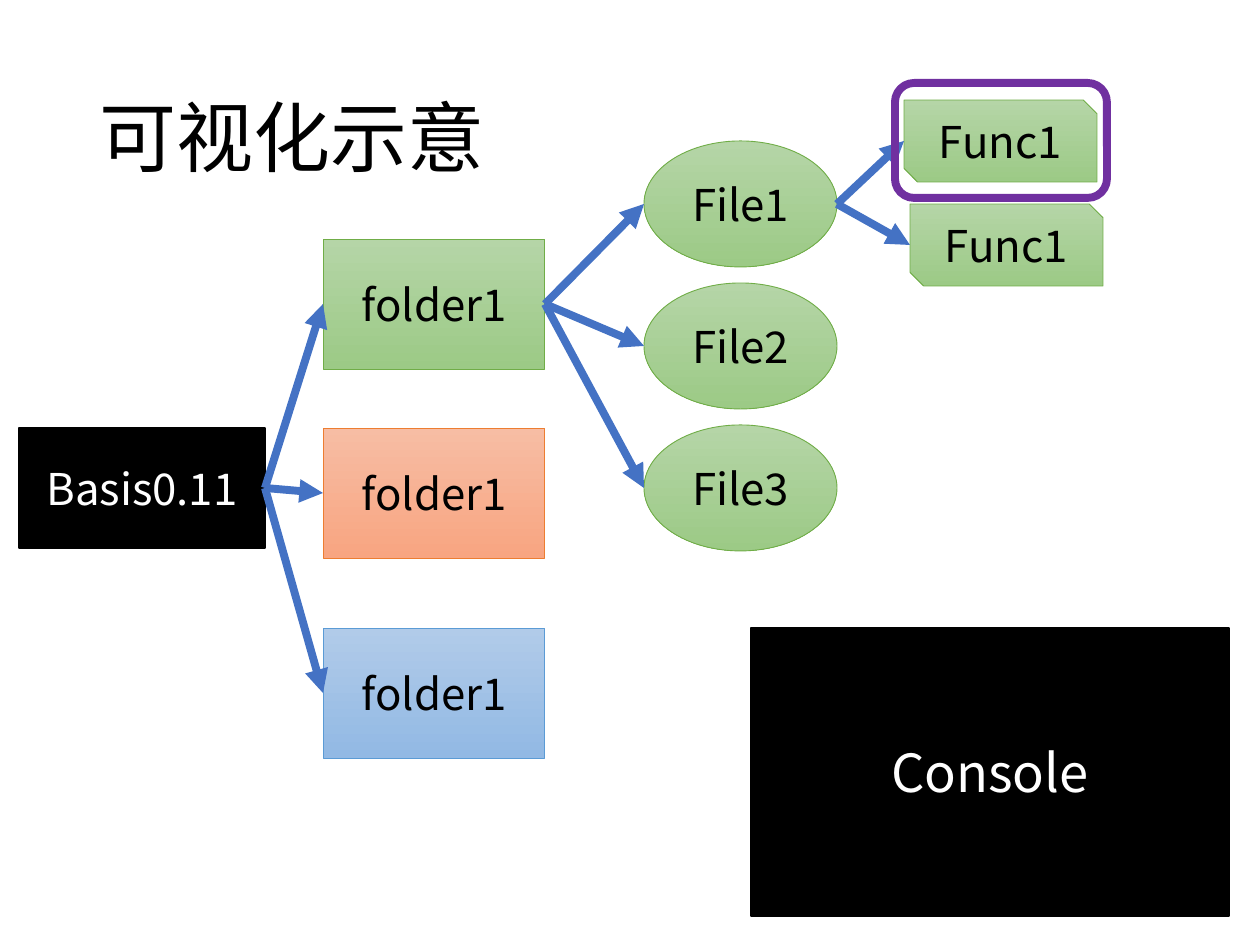
from lxml.etree import SubElement
from pptx import Presentation
from pptx.dml.color import RGBColor
from pptx.enum.shapes import MSO_CONNECTOR, MSO_SHAPE
from pptx.enum.text import MSO_ANCHOR as Anchor, PP_ALIGN as Align
from pptx.oxml.ns import qn
from pptx.util import Pt

EMU_PER_PX = 914400 / 126
FONT = "Noto Sans CJK SC"
BLACK = RGBColor(0x00, 0x00, 0x00)
WHITE = RGBColor(0xFF, 0xFF, 0xFF)
BLUE = RGBColor(0x44, 0x72, 0xC4)
PURPLE = RGBColor(0x70, 0x30, 0xA0)
GREEN_TINT = (RGBColor(0xB5, 0xD5, 0xA7), RGBColor(0x9C, 0xCA, 0x86), RGBColor(0x70, 0xAD, 0x47))
ORANGE_TINT = (RGBColor(0xF7, 0xBD, 0xA4), RGBColor(0xF8, 0xA5, 0x81), RGBColor(0xED, 0x7D, 0x31))
BLUE_TINT = (RGBColor(0xB1, 0xCB, 0xE9), RGBColor(0x92, 0xB9, 0xE4), RGBColor(0x5B, 0x9B, 0xD5))


def emu(*lengths):
    return [round(length * EMU_PER_PX) for length in lengths]


class TreeSlide:
    """Holds the style and the slide on which the call tree is drawn."""

    def __init__(self, deck):
        self.slide = deck.slides.add_slide(deck.slide_layouts[6])

    def label(self, holder, words, size, color, align):
        frame = holder.text_frame
        frame.word_wrap = True
        frame.vertical_anchor = Anchor.MIDDLE
        line = frame.paragraphs[0]
        line.text = words
        line.alignment = align
        line.font.size = Pt(size)
        line.font.color.rgb = color
        line.font.name = FONT
        defaults = line._p.pPr.find(qn("a:defRPr"))
        SubElement(defaults, qn("a:ea"), typeface=FONT)
        return line

    def title(self, words, box):
        holder = self.slide.shapes.add_textbox(*emu(*box))
        self.label(holder, words, 44, BLACK, Align.LEFT).line_spacing = 0.9

    def outline(self, kind, box, color, width):
        frame = self.slide.shapes.add_shape(kind, *emu(*box))
        frame.shadow.inherit = False
        frame.fill.background()
        frame.line.color.rgb = color
        frame.line.width = Pt(width)
        return frame

    def tinted(self, kind, words, box, tint):
        top, bottom, edge = tint
        node = self.outline(kind, box, edge, 0.5)
        node.fill.gradient()
        node.fill.gradient_angle = 270
        for stop, color in zip(node.fill.gradient_stops, (top, bottom)):
            stop.color.rgb = color
        self.label(node, words, 25, BLACK, Align.CENTER)
        return node

    def dark(self, words, box, size):
        node = self.outline(MSO_SHAPE.RECTANGLE, box, BLACK, 1)
        node.fill.solid()
        node.fill.fore_color.rgb = BLACK
        self.label(node, words, size, WHITE, Align.CENTER)
        return node

    def arrows(self, parent, children):
        for child in children:
            arrow = self.slide.shapes.add_connector(
                MSO_CONNECTOR.STRAIGHT,
                parent.left + parent.width, parent.top + parent.height // 2,
                child.left, child.top + child.height // 2)
            arrow.line.color.rgb = BLUE
            arrow.line.width = Pt(4.5)
            properties = arrow._element.spPr
            SubElement(properties.find(qn("a:ln")), qn("a:tailEnd"), type="triangle")
            SubElement(properties, qn("a:effectLst"))


def main():
    deck = Presentation()
    deck.slide_width, deck.slide_height = emu(1260, 945)
    tree = TreeSlide(deck)

    tree.title("可视化示意", (87, 50, 1087, 183))
    root = tree.dark("Basis0.11", (19, 428, 246, 120), 25)
    folders = [
        tree.tinted(MSO_SHAPE.RECTANGLE, "folder1", (323, top, 222, 130), tint)
        for top, tint in ((239, GREEN_TINT), (428, ORANGE_TINT), (628, BLUE_TINT))]
    files = [
        tree.tinted(MSO_SHAPE.OVAL, f"File{row + 1}", (644, 141 + 142 * row, 193, 126), GREEN_TINT)
        for row in range(3)]
    functions = [
        tree.tinted(MSO_SHAPE.SNIP_2_DIAG_RECTANGLE, "Func1", (left, top, 193, 82), GREEN_TINT)
        for left, top in ((904, 100), (910, 204))]

    for parent, children in ((root, folders), (folders[0], files), (files[0], functions)):
        tree.arrows(parent, children)

    tree.dark("Console", (751, 628, 478, 288), 30)
    tree.outline(MSO_SHAPE.ROUNDED_RECTANGLE, (895, 83, 212, 115), PURPLE, 4.5)
    deck.save("out.pptx")


if __name__ == "__main__":
    main()
